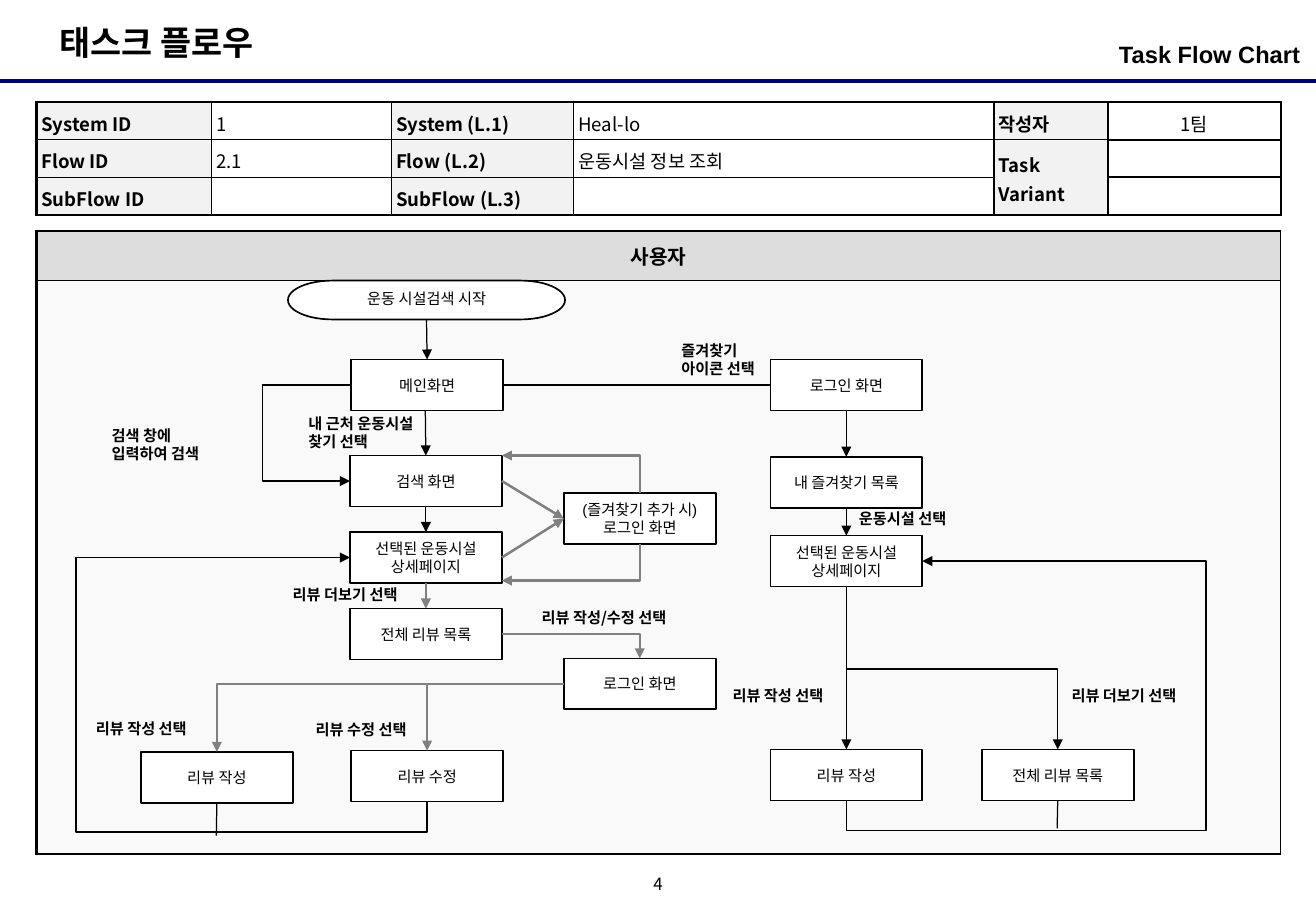
from lxml.etree import SubElement
from pptx import Presentation
from pptx.dml.color import RGBColor
from pptx.enum.shapes import MSO_CONNECTOR, MSO_SHAPE
from pptx.enum.text import MSO_ANCHOR, PP_ALIGN
from pptx.oxml.ns import qn
from pptx.util import Inches, Pt

BLACK = RGBColor(0, 0, 0)
WHITE = RGBColor(255, 255, 255)
NAVY = RGBColor(0, 0, 0x80)
GRAY = RGBColor(0x80, 0x80, 0x80)
HEAD_FILL = RGBColor(0xDD, 0xDD, 0xDD)
LABEL_FILL = RGBColor(0xF2, 0xF2, 0xF2)
CHART_FILL = RGBColor(0xF9, 0xF9, 0xF9)
SANS = "Noto Sans CJK KR"

prs = Presentation()
prs.slide_width, prs.slide_height = Inches(10.83), Inches(7.5)
s = prs.slides.add_slide(prs.slide_layouts[6])
boxes = {}


def write(tf, text, size=9, bold=False, font=SANS, align=PP_ALIGN.LEFT,
          anchor=MSO_ANCHOR.TOP, spacing=None, gap=None, insets=None, wrap=True):
    tf.word_wrap = wrap
    tf.vertical_anchor = anchor
    if insets:
        tf.margin_left = tf.margin_right = Inches(insets[0])
        tf.margin_top = tf.margin_bottom = Inches(insets[1])
    for i, line in enumerate(text.split("\n")):
        p = tf.add_paragraph() if i else tf.paragraphs[0]
        p.alignment, p.line_spacing = align, spacing
        p.space_before = p.space_after = gap
        if not line:
            SubElement(p._p, qn("a:endParaRPr")).set("sz", str(size * 100))
            continue
        r = p.add_run()
        r.text = line
        r.font.size, r.font.bold, r.font.name = Pt(size), bold, font
        r.font.color.rgb = BLACK
        SubElement(r._r.get_or_add_rPr(), qn("a:ea")).set("typeface", SANS)


def connect(start, end, color=BLACK, width=0.75, arrow=True, bend=None):
    """An end is (box, side) or (x, y); bend is (kind, rotation, flips, runs)."""
    kind = MSO_CONNECTOR.ELBOW if bend else MSO_CONNECTOR.STRAIGHT
    points = [(0, 0) if e[0] in boxes else e for e in (start, end)]
    c = s.shapes.add_connector(kind, *(Inches(v) for xy in points for v in xy))
    for e, join in ((start, c.begin_connect), (end, c.end_connect)):
        if e[0] in boxes:
            join(boxes[e[0]], e[1])
    c.line.color.rgb, c.line.width = color, Pt(width)
    if arrow:
        SubElement(c.line._ln, qn("a:tailEnd")).set("type", "triangle")
    sp_pr = c._element.spPr
    SubElement(sp_pr, qn("a:effectLst"))
    if bend:
        corners, turn, flips, runs = bend
        w, h = c.width, c.height
        cx, cy = c.left + w // 2, c.top + h // 2
        if turn in (90, 270):
            w, h = h, w
        c.left, c.top, c.width, c.height = cx - w // 2, cy - h // 2, w, h
        xfrm = sp_pr.find(qn("a:xfrm"))
        xfrm.set("rot", str(turn * 60000))
        xfrm.set("flipH", str(int("h" in flips)))
        xfrm.set("flipV", str(int("v" in flips)))
        geom = sp_pr.find(qn("a:prstGeom"))
        geom.set("prst", f"bentConnector{corners}")
        for i, (run, extent) in enumerate(zip(runs, (w, h)), 1):
            gd = SubElement(geom.find(qn("a:avLst")), qn("a:gd"))
            gd.set("name", f"adj{i}")
            gd.set("fmla", f"val {round(Inches(run) / extent * 100000)}")


# Page frame: rule, titles, page number
connect((0, 0.67), (10.83, 0.67), NAVY, 2.25, arrow=False)
for text, x, y, w, h, style in (
    ("태스크 플로우", 0.39, 0.13, 1.98, 0.44, dict(size=20, bold=True, wrap=False)),
    ("Task Flow Chart", 7.39, 0.28, 3.31, 0.39,
     dict(size=14, bold=True, font="Arial", align=PP_ALIGN.RIGHT, insets=(0, 0.05), gap=Pt(2.8))),
    ("4", 5.25, 7.17, 0.33, 0.25,
     dict(size=10, align=PP_ALIGN.CENTER, anchor=MSO_ANCHOR.MIDDLE, spacing=0.8,
          insets=(0, 0), wrap=False)),
):
    write(s.shapes.add_textbox(Inches(x), Inches(y), Inches(w), Inches(h)).text_frame, text, **style)

# Tables: the chart frame and the flow information
frame = [["사용자"], [""]]
info = [["System ID", "1", "System (L.1)", "Heal-lo", "작성자", "1팀"],
        ["Flow ID", "2.1", "Flow (L.2)", "운동시설 정보 조회", "Task Variant", ""],
        ["SubFlow ID", "", "SubFlow (L.3)", "", "", ""]]
for rows, top, widths, heights in (
    (frame, 1.9, [10.24], [0.41, 4.72]),
    (info, 0.84, [1.44, 1.48, 1.5, 3.46, 0.94, 1.42], [0.31] * 3),
):
    table = s.shapes.add_table(len(rows), len(widths), Inches(0.3), Inches(top),
                               Inches(10.24), Inches(sum(heights))).table
    for column, w in zip(table.columns, widths):
        column.width = Inches(w)
    for row, h in zip(table.rows, heights):
        row.height = Inches(h)
    if rows is info:
        table.cell(1, 4).merge(table.cell(2, 4))
    for i, row in enumerate(rows):
        for j, text in enumerate(row):
            cell = table.cell(i, j)
            right, bottom = j == len(row) - 1, i == len(rows) - 1
            cell.fill.solid()
            if rows is frame:
                cell.fill.fore_color.rgb = CHART_FILL if i else HEAD_FILL
                write(cell.text_frame, text, size=12, bold=True, align=PP_ALIGN.CENTER)
                cell.vertical_anchor = MSO_ANCHOR.MIDDLE
                inner, right = 0.75, False
            else:
                cell.fill.fore_color.rgb = WHITE if j % 2 else LABEL_FILL
                write(cell.text_frame, text, size=11, bold=j % 2 == 0, spacing=1.1, gap=Pt(1.1),
                      align=PP_ALIGN.CENTER if right else PP_ALIGN.LEFT)
                cell.margin_left = cell.margin_right = Inches(0.04)
                cell.margin_top = cell.margin_bottom = Inches(0.04)
                cell.vertical_anchor = MSO_ANCHOR.MIDDLE if j > 3 else MSO_ANCHOR.TOP
                inner = 1.5 if right else 1
            tc_pr = cell._tc.get_or_add_tcPr()
            sides = (("a:lnL", j == 0), ("a:lnR", right), ("a:lnT", i == 0), ("a:lnB", bottom))
            for k, (side, outer) in enumerate(sides):
                vertical = side in ("a:lnL", "a:lnR")
                width = 1.5 if outer else (min(inner, 1) if vertical else inner)
                ln = SubElement(tc_pr, qn(side), w=str(Pt(width)))
                SubElement(SubElement(ln, qn("a:solidFill")), qn("a:srgbClr")).set("val", str(BLACK))
                tc_pr.insert(k, ln)

# Flow boxes; the favourites login comes last, over the line that passes behind it
BOX_W, BOX_H = 1.25, 0.42
COL = [1.16, 2.88, 4.64, 6.34, 8.08]
steps = [
    ("start", "운동 시설검색 시작", 2.37, 2.31),
    ("search", "검색 화면", COL[1], 3.75),
    ("detail", "선택된 운동시설\n상세페이지", COL[1], 4.38),
    ("reviews", "전체 리뷰 목록", COL[1], 5.01),
    ("main", "메인화면", COL[1] + 0.01, 2.96),
    ("edit", "리뷰 수정", COL[1] + 0.01, 6.18),
    ("write", "리뷰 작성", COL[0], 6.19),
    ("add login", "(즐겨찾기 추가 시)\n로그인 화면", COL[2], 4.06),
    ("review login", "로그인 화면", COL[2], 5.42),
    ("favourites", "내 즐겨찾기 목록", COL[3], 3.76),
    ("fav detail", "선택된 운동시설\n상세페이지", COL[3], 4.41),
    ("fav write", "리뷰 작성", COL[3], 6.17),
    ("fav reviews", "전체 리뷰 목록", COL[4], 6.17),
    ("fav login", "로그인 화면", COL[3], 2.96),
]
for name, text, x, y in steps:
    if name == "fav login":
        connect(("main", 3), ("favourites", 0), bend=(2, 0, "", ()))
    first = name == "start"
    w, h = (2.28, 0.32) if first else (BOX_W, BOX_H)
    sp = s.shapes.add_shape(MSO_SHAPE.FLOWCHART_TERMINATOR if first else MSO_SHAPE.RECTANGLE,
                            Inches(x), Inches(y), Inches(w), Inches(h))
    sp.shadow.inherit = False
    sp.fill.solid()
    sp.fill.fore_color.rgb = WHITE
    sp.line.color.rgb, sp.line.width = BLACK, Pt(1)
    write(sp.text_frame, text, font="Arial", align=PP_ALIGN.CENTER, anchor=MSO_ANCHOR.MIDDLE,
          insets=(0.02, 0), spacing=0.9 if first else None)
    boxes[name] = sp

# Main flow
connect(("start", 2), ("main", 0))
connect((3.5, 3.38), ("search", 0))
connect(("search", 2), ("detail", 0))
connect(("favourites", 2), ("fav detail", 0))
connect(("fav detail", 2), ("fav write", 0))
connect(("write", 2), (1.78, 6.88), arrow=False)
connect(("fav reviews", 2), (8.7, 6.82), arrow=False)
connect(("main", 1), ("search", 1), bend=(3, 180, "v", (0.74,)))
connect(("edit", 2), ("detail", 1), bend=(4, 90, "h", (-0.25, 2.89)))
connect(("fav detail", 2), ("fav reviews", 0), bend=(3, 270, "h", (0.68,)))
connect(("fav write", 2), ("fav detail", 3), bend=(4, 90, "hv", (-0.25, 2.96)))

# Login flow
for start, end, bend in (
    (("search", 3), ("add login", 1), None),
    (("detail", 3), ("add login", 1), None),
    (("detail", 2), ("reviews", 0), None),
    (("add login", 0), (4.13, 3.75), (2, 270, "v", ())),
    (("add login", 2), (4.13, 4.78), (2, 90, "", ())),
    (("reviews", 3), ("review login", 0), (2, 0, "", ())),
    (("review login", 1), ("edit", 0), (2, 180, "v", ())),
    (("review login", 1), ("write", 0), (2, 180, "v", ())),
):
    connect(start, end, GRAY, 1.5, bend=bend)

# Choice labels
for text, x, y, w in (
    ("내 근처 운동시설 찾기 선택", 2.44, 3.36, 1.18),
    ("즐겨찾기\n아이콘 선택", 5.51, 2.76, 1.03),
    ("검색 창에\n입력하여 검색", 0.82, 3.46, 1.11),
    ("리뷰 작성 선택", 0.69, 5.87, 1.11),
    ("리뷰 수정 선택", 2.5, 5.88, 1.11),
    ("리뷰 더보기 선택", 2.31, 4.77, 1.29),
    ("리뷰 작성/수정 선택", 4.36, 4.96, 1.66),
    ("운동시설 선택", 6.97, 4.14, 1.11),
    ("리뷰 작성 선택", 5.93, 5.6, 1.11),
    ("리뷰 더보기 선택", 8.72, 5.6, 1.26),
):
    write(s.shapes.add_textbox(Inches(x), Inches(y), Inches(w), Inches(0.25)).text_frame, text, bold=True)

prs.save("out.pptx")
